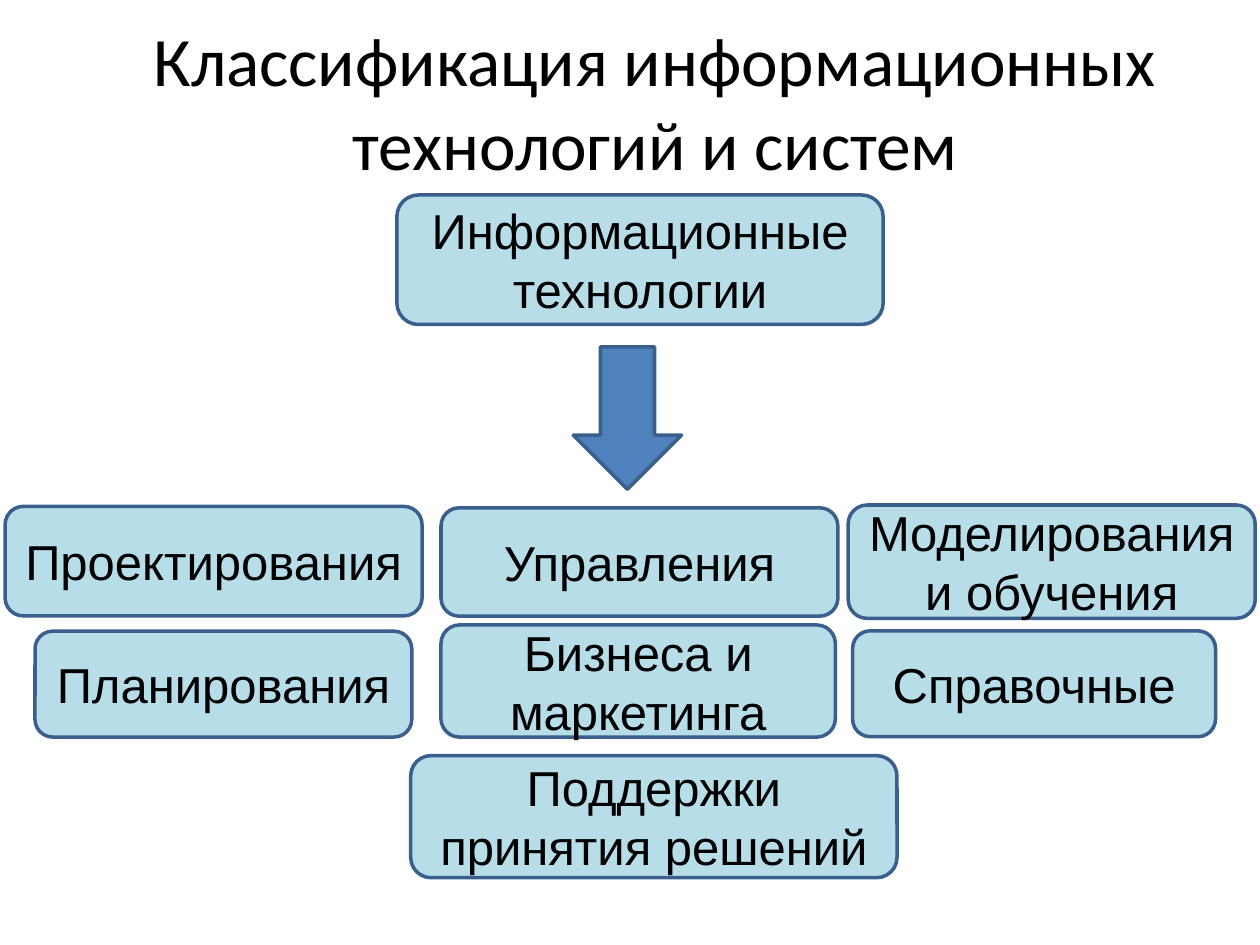
from pptx import Presentation
from pptx.dml.color import RGBColor
from pptx.enum.shapes import MSO_SHAPE
from pptx.enum.text import MSO_ANCHOR, MSO_AUTO_SIZE, PP_ALIGN
from pptx.util import Pt

ROUND_RECT = MSO_SHAPE.ROUNDED_RECTANGLE
DOWN_ARROW = MSO_SHAPE.DOWN_ARROW
MIDDLE = MSO_ANCHOR.MIDDLE
CENTER = PP_ALIGN.CENTER
NO_AUTOFIT = MSO_AUTO_SIZE.NONE
TITLE_ONLY = 5

COLORS = {
    "text": "000000",
    "box": "B7DEE8",
    "arrow": "4F81BD",
    "line": "3A5F8C",
}

# Text, left, top, width, height in points
BOXES = [
    ("Информационные технологии", 226.8, 111.4, 277.9, 74),
    ("Проектирования", 2.9, 289.4, 238.3, 62.6),
    ("Управления", 252, 290.2, 226.8, 61.9),
    ("Моделирования и обучения", 484.7, 288.6, 232.6, 64.8),
    ("Планирования", 20, 360.7, 215.3, 60.5),
    ("Бизнеса и маркетинга", 252, 357.1, 225.4, 64.1),
    ("Справочные", 487.2, 360.5, 207.4, 60.5),
    ("Поддержки принятия решений", 234.7, 431.8, 277.9, 69.8),
]


def color(name):
    return RGBColor.from_string(COLORS[name])


def set_text(sp, text, font, size):
    tf = sp.text_frame
    tf.text = text
    tf.word_wrap = True
    tf.auto_size = NO_AUTOFIT
    tf.vertical_anchor = MIDDLE
    p = tf.paragraphs[0]
    p.alignment = CENTER
    r = p.runs[0]
    r.font.name = font
    r.font.size = Pt(size)
    r.font.color.rgb = color("text")


def add_title(s, text, left, top, width, height):
    sp = s.shapes.title
    sp.left, sp.top = Pt(left), Pt(top)
    sp.width, sp.height = Pt(width), Pt(height)
    set_text(sp, text, "Calibri", 39.6)


def add_outlined(s, kind, fill, left, top, width, height):
    sp = s.shapes.add_shape(kind, Pt(left), Pt(top), Pt(width), Pt(height))
    sp.shadow.inherit = False
    sp.fill.solid()
    sp.fill.fore_color.rgb = color(fill)
    sp.line.color.rgb = color("line")
    sp.line.width = Pt(2)
    return sp


def add_box(s, text, *bounds):
    sp = add_outlined(s, ROUND_RECT, "box", *bounds)
    set_text(sp, text, "Arial", 28)


def main():
    prs = Presentation()
    prs.slide_width, prs.slide_height = Pt(720), Pt(540)
    s = prs.slides.add_slide(prs.slide_layouts[TITLE_ONLY])
    add_title(s, "Классификация информационных технологий и систем",
              50.4, 15.1, 648, 85)
    for box in BOXES:
        add_box(s, *box)
    add_outlined(s, DOWN_ARROW, "arrow", 327.6, 198.2, 61.9, 81.4)
    prs.save("out.pptx")


if __name__ == "__main__":
    main()
